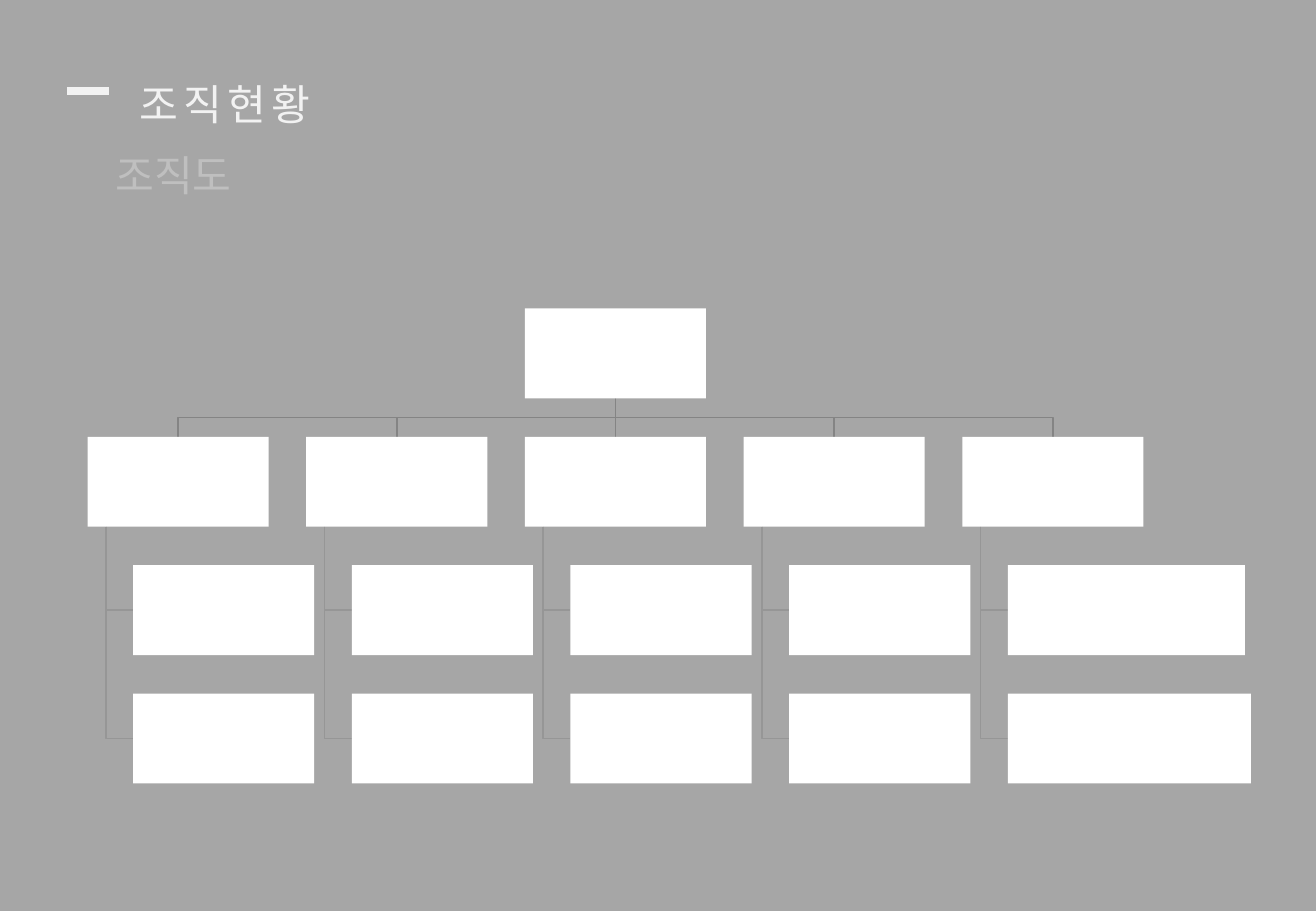
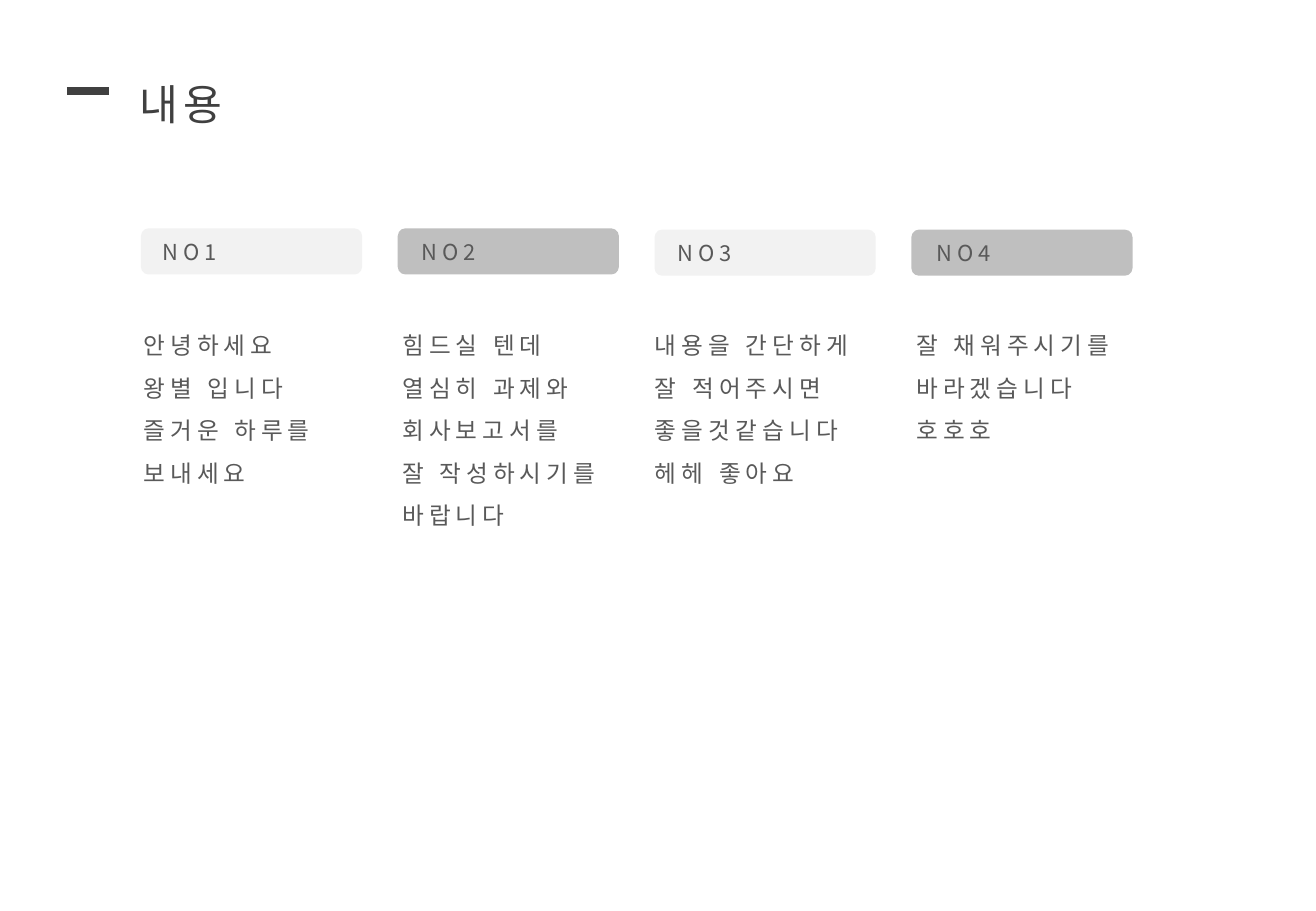
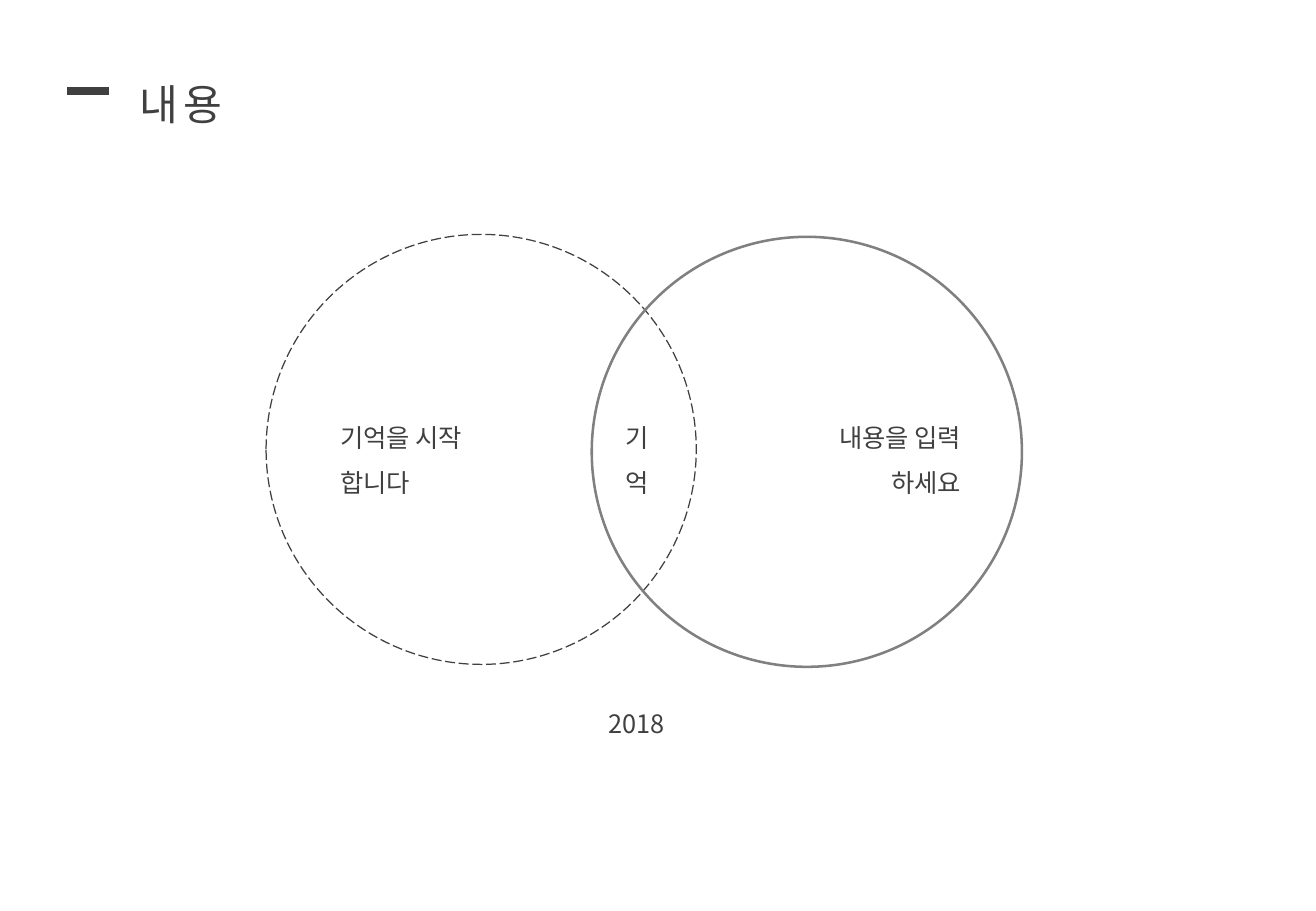
from lxml import etree
from pptx import Presentation
from pptx.dml.color import RGBColor
from pptx.enum.dml import MSO_LINE
from pptx.enum.shapes import MSO_CONNECTOR, MSO_SHAPE
from pptx.enum.text import MSO_ANCHOR, MSO_AUTO_SIZE, PP_ALIGN
from pptx.oxml.ns import qn
from pptx.util import Inches, Pt

STRAIGHT = MSO_CONNECTOR.STRAIGHT
RECTANGLE = MSO_SHAPE.RECTANGLE
ROUNDED = MSO_SHAPE.ROUNDED_RECTANGLE
OVAL = MSO_SHAPE.OVAL
LONG_DASH = MSO_LINE.LONG_DASH
LEFT, CENTER, RIGHT = PP_ALIGN.LEFT, PP_ALIGN.CENTER, PP_ALIGN.RIGHT
TOP, MIDDLE = MSO_ANCHOR.TOP, MSO_ANCHOR.MIDDLE

SLIDE_WIDTH, SLIDE_HEIGHT = 10.83, 7.5
FONT = "Noto Sans CJK KR"
WHITE, PALE, SILVER, GREY = "FFFFFF", "F2F2F2", "BFBFBF", "A6A6A6"
DARK, TEXT_GREY, MID_GREY = "404040", "595959", "808080"
BUS_GREY, BRANCH_GREY = "848484", "969696"
LOOSE, SINGLE = 1.8, 1.2

TITLE_STYLE = {"size": 25, "color": DARK, "tracking": 3}
SUBTITLE_STYLE = {"size": 25, "color": SILVER, "leading": SINGLE}
LIST_STYLE = {"size": 14, "color": TEXT_GREY, "tracking": 3}
LABEL_STYLE = {"size": 13, "color": TEXT_GREY, "tracking": 3, "leading": SINGLE}
VENN_STYLE = {"size": 15, "color": DARK}

COLUMNS = [
    ("NO1", 0.16, 1.88, 1.08, ["안녕하세요", "왕별 입니다", "즐거운 하루를", "보내세요"]),
    ("NO2", 0.18, 1.88, 3.21,
     ["힘드실 텐데", "열심히 과제와", "회사보고서를", "잘 작성하시기를", "바랍니다"]),
    ("NO3", 0.17, 1.89, 5.29,
     ["내용을 간단하게", "잘 적어주시면", "좋을것같습니다", "헤헤 좋아요"]),
    ("NO4", 0.19, 1.89, 7.44, ["잘 채워주시기를", "바라겠습니다", "호호호"]),
]


def rgb(value):
    return RGBColor.from_string(value)


def set_attributes(target, values):
    for name, value in values.items():
        setattr(target, name, value)


def place(shape, box):
    names = ("left", "top", "width", "height")
    set_attributes(shape, dict(zip(names, map(Inches, box))))
    return shape


def write(shape, lines, size, color, tracking=0, leading=LOOSE, align=LEFT, anchor=TOP):
    frame = shape.text_frame
    set_attributes(frame, {"word_wrap": True, "auto_size": MSO_AUTO_SIZE.NONE,
                           "vertical_anchor": anchor})
    frame.text = "\n".join(lines)
    for paragraph in frame.paragraphs:
        set_attributes(paragraph, {
            "alignment": align, "line_spacing": Pt(round(size * leading, 1)),
            "space_before": Pt(0), "space_after": Pt(0)})
        properties = paragraph._p.get_or_add_pPr()
        properties.set("marL", "0")
        properties.set("indent", "0")
        etree.SubElement(properties, qn("a:buNone"))
        for run in paragraph.runs:
            set_attributes(run.font, {"name": FONT, "size": Pt(size), "bold": False})
            run.font.color.rgb = rgb(color)
            run_properties = run._r.get_or_add_rPr()
            run_properties.set("spc", str(tracking * 100))
            etree.SubElement(run_properties, qn("a:ea"), typeface=FONT)


def add_text(slide, box, lines, **style):
    shape = slide.shapes.add_textbox(*map(Inches, box))
    write(shape, lines, **style)


def add_box(slide, kind, box, fill=None):
    shape = slide.shapes.add_shape(kind, *map(Inches, box))
    shape.shadow.inherit = False
    if fill:
        shape.fill.solid()
        shape.fill.fore_color.rgb = rgb(fill)
    else:
        shape.fill.background()
    shape.line.fill.background()
    return shape


def add_line(slide, start, end, color, width=1):
    connector = slide.shapes.add_connector(STRAIGHT, *map(Inches, (*start, *end)))
    connector.line.color.rgb = rgb(color)
    connector.line.width = Pt(width)
    etree.SubElement(connector._element.spPr, qn("a:effectLst"))


def add_bent_line(slide, points, color):
    start, *others = [tuple(map(Inches, point)) for point in points]
    builder = slide.shapes.build_freeform(*start)
    builder.add_line_segments(others, close=False)
    shape = builder.convert_to_shape()
    shape.shadow.inherit = False
    shape.fill.background()
    shape.line.color.rgb = rgb(color)
    shape.line.width = Pt(1)


def add_titled_slide(presentation, layout_name, title, background=WHITE, color=DARK):
    layout = presentation.slide_layouts.get_by_name(layout_name)
    slide = presentation.slides.add_slide(layout)
    slide.background.fill.solid()
    slide.background.fill.fore_color.rgb = rgb(background)
    place(slide.shapes.title, (1.05, 0.39, 2.04, 0.73))
    write(slide.shapes.title, [title], **{**TITLE_STYLE, "color": color})
    add_line(slide, (0.55, 0.75), (0.9, 0.75), color, 4.5)
    return slide


def add_organization_chart(slide, left, top):
    width, height = 1.49, 0.74
    column_step, row_step = 1.8, 3.17 / 3
    child_shift, spine_shift = 0.375, 0.15
    lefts = [left + index * column_step for index in range(5)]
    rows = [top + index * row_step for index in range(4)]
    root_center, root_bottom = lefts[2] + width / 2, rows[0] + height
    bus = (root_bottom + rows[1]) / 2
    child_widths = [(width, width)] * 4 + [(1.95, 2)]

    for column, widths in zip(lefts, child_widths):
        center, spine, child = column + width / 2, column + spine_shift, column + child_shift
        if column == lefts[2]:
            add_line(slide, (center, root_bottom), (center, rows[1]), BUS_GREY)
        else:
            add_bent_line(slide, [(root_center, root_bottom), (root_center, bus),
                                  (center, bus), (center, rows[1])], BUS_GREY)
        add_box(slide, RECTANGLE, (column, rows[1], width, height), WHITE)
        for row, child_width in zip(rows[2:], widths):
            middle = row + height / 2
            add_bent_line(slide, [(spine, rows[1] + height), (spine, middle),
                                  (child, middle)], BRANCH_GREY)
            add_box(slide, RECTANGLE, (child, row, child_width, height), WHITE)
    add_box(slide, RECTANGLE, (lefts[2], rows[0], width, height), WHITE)


def add_column(slide, placeholder, bar_box, inset, list_left, label, lines, fill):
    bar = add_box(slide, ROUNDED, bar_box, fill)
    bar.text_frame.margin_left = Inches(inset)
    write(bar, [label], anchor=MIDDLE, **LABEL_STYLE)
    place(placeholder, (list_left, 2.56, 2.26, 1.87))
    write(placeholder, lines, **LIST_STYLE)


def add_venn(slide, left, top):
    diameter, shift = 3.54, 2.68
    circles = [(0, 0, DARK, 0.75, LONG_DASH), (shift, 0.02, MID_GREY, 1.5, None)]
    for across, down, color, width, dash in circles:
        circle = add_box(slide, OVAL, (left + across, top + down, diameter, diameter))
        circle.line.color.rgb = rgb(color)
        set_attributes(circle.line, {"width": Pt(width), "dash_style": dash})
    captions = [
        (0.51, 1.37, 1.68, ["기억을 시작", "합니다"], LEFT),
        (2.86, 1.37, 0.46, ["기", "억"], LEFT),
        (3.79, 1.37, 2.03, ["내용을 입력", "하세요"], RIGHT),
        (2.21, 3.73, 1.68, ["2018"], CENTER),
    ]
    for across, down, width, lines, align in captions:
        box = (left + across, top + down, width, 0.1 + 0.38 * len(lines))
        add_text(slide, box, lines, align=align, **VENN_STYLE)


def build_organization(presentation):
    slide = add_titled_slide(presentation, "Title and Content", "조직현황", GREY, PALE)
    subtitle = place(slide.placeholders[1], (0.85, 1.18, 2.04, 0.52))
    write(subtitle, ["조직도"], **SUBTITLE_STYLE)
    add_organization_chart(slide, 0.72, 2.54)


def build_columns(presentation):
    slide = add_titled_slide(presentation, "Comparison", "내용")
    for index, (label, inset, top, list_left, lines) in enumerate(COLUMNS):
        bar_box = (1.16 + index * 6.34 / 3, top, 1.82, 0.38)
        add_column(slide, slide.placeholders[index + 1], bar_box, inset, list_left,
                   label, lines, (PALE, SILVER)[index % 2])


def build_venn(presentation):
    slide = add_titled_slide(presentation, "Title Only", "내용")
    add_venn(slide, 2.19, 1.93)


def main():
    presentation = Presentation()
    set_attributes(presentation, {"slide_width": Inches(SLIDE_WIDTH),
                                  "slide_height": Inches(SLIDE_HEIGHT)})
    for build in (build_organization, build_columns, build_venn):
        build(presentation)
    presentation.save("out.pptx")


if __name__ == "__main__":
    main()
